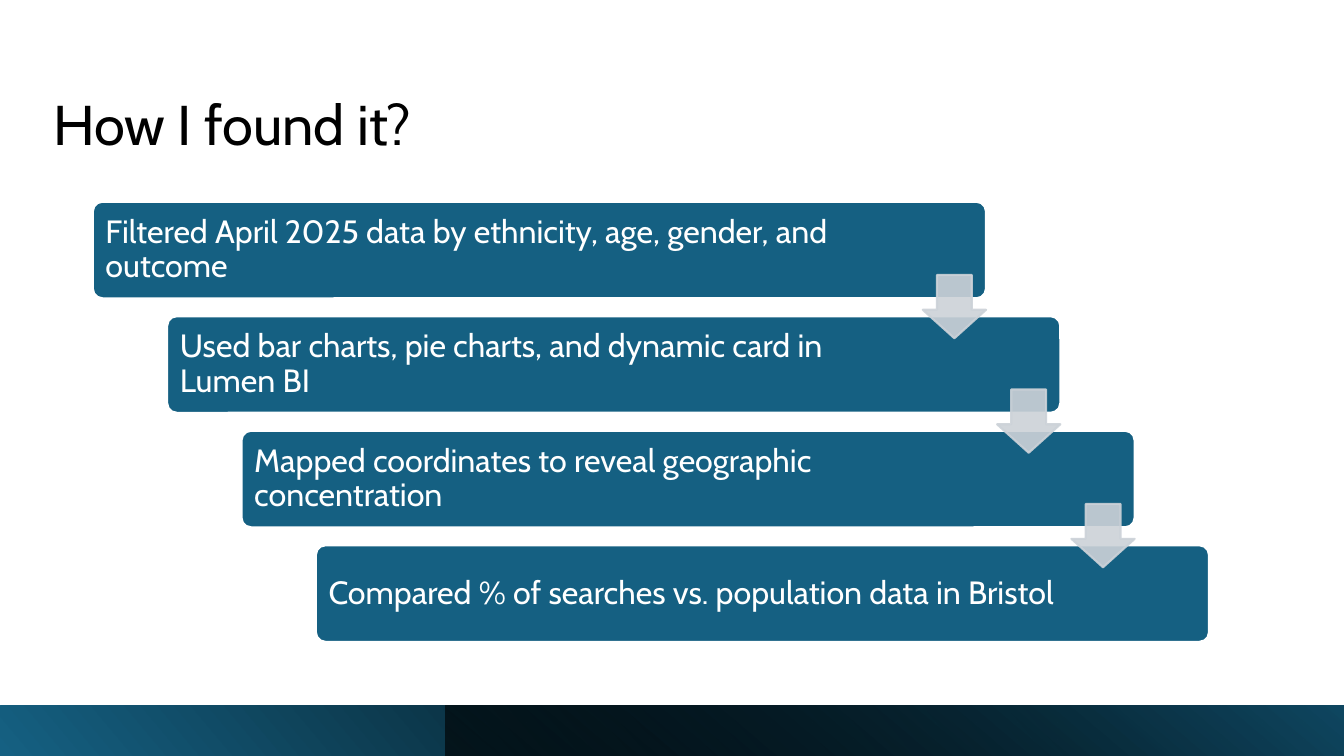
import pptx
import pptx.util
import pptx.dml.color
import pptx.enum.shapes
import pptx.enum.text
import pptx.oxml
import pptx.oxml.ns

Pt = pptx.util.Pt
SHAPES = pptx.enum.shapes.MSO_SHAPE
ANCHOR = pptx.enum.text.MSO_ANCHOR

COLOURS = {
    "title": "000000",
    "white": "FFFFFF",
    "step": "156082",
    "arrow": "CCD2D8",
    "black": "000000",
    "deep": "104862",
}
FONT = "Cabin"
# Wording and text width of each step
STEPS = [
    ("Filtered April 2025 data by ethnicity, age, gender, and outcome", 557),
    ("Used bar charts, pie charts, and dynamic card in Lumen BI", 535),
    ("Mapped coordinates to reveal geographic concentration", 535),
    ("Compared % of searches vs. population data in Bristol", 535),
]
STEP_LEFT, STEP_TOP = 66.3, 144.1
STEP_WIDTH, STEP_HEIGHT = 638, 69
SHIFT_RIGHT, SHIFT_DOWN = 53.1, 81.8
ARROW_SIZE = 45.2


def rgb(name):
    return pptx.dml.color.RGBColor.from_string(COLOURS[name])


def add_text(page, words, left, top, width, height, *, size, colour,
             anchor=ANCHOR.MIDDLE, inset=(7.2, 7.2)):
    """Add wrapped text; inset is (horizontal, vertical)."""
    box = page.shapes.add_textbox(Pt(left), Pt(top), Pt(width), Pt(height))
    frame = box.text_frame
    frame.word_wrap = True
    frame.vertical_anchor = anchor
    frame.margin_left = frame.margin_right = Pt(inset[0])
    frame.margin_top = frame.margin_bottom = Pt(inset[1])
    para = frame.paragraphs[0]
    para.line_spacing = 0.9
    span = para.add_run()
    span.text = words
    span.font.size = Pt(size)
    span.font.name = FONT
    span.font.color.rgb = rgb(colour)


def add_preset(page, kind, left, top, width, height, adjustments=()):
    shape = page.shapes.add_shape(kind, Pt(left), Pt(top), Pt(width), Pt(height))
    shape.shadow.inherit = False
    for index, value in enumerate(adjustments):
        shape.adjustments[index] = value
    return shape


def paint(shape, fill, line, opacity=100):
    shape.fill.solid()
    shape.fill.fore_color.rgb = rgb(fill)
    shape.line.color.rgb = rgb(line)
    shape.line.width = Pt(1.5)
    if opacity < 100:
        for colour in shape._element.spPr.iter(pptx.oxml.ns.qn("a:srgbClr")):
            alpha = colour.makeelement(pptx.oxml.ns.qn("a:alpha"),
                                       {"val": str(opacity * 1000)})
            colour.append(alpha)


def add_gradient_band(page, left, width, stops, angle, rotation=0):
    """Add a mirrored footer band; stops are (position, colour, opacity)."""
    band = add_preset(page, SHAPES.RECTANGLE, left, 504, width, 36)
    band.line.fill.background()
    band.rotation = rotation
    properties = band._element.spPr
    properties.xfrm.set("flipH", "1")
    stop_xml = "".join(
        f'<a:gs pos="{position * 1000}"><a:srgbClr val="{COLOURS[colour]}">'
        f'<a:alpha val="{opacity * 1000}"/></a:srgbClr></a:gs>'
        for position, colour, opacity in stops)
    gradient = pptx.oxml.parse_xml(
        f'<a:gradFill {pptx.oxml.ns.nsdecls("a")} rotWithShape="1">'
        f'<a:gsLst>{stop_xml}</a:gsLst>'
        f'<a:lin ang="{angle * 60000}" scaled="0"/></a:gradFill>')
    properties.find(pptx.oxml.ns.qn("a:prstGeom")).addnext(gradient)


def add_step(page, index, words, text_width):
    left = STEP_LEFT + index * SHIFT_RIGHT
    top = STEP_TOP + index * SHIFT_DOWN
    panel = add_preset(page, SHAPES.ROUNDED_RECTANGLE, left, top,
                       STEP_WIDTH, STEP_HEIGHT, [0.1])
    paint(panel, "step", "white")
    add_text(page, words, left + 2, top + 2, text_width, STEP_HEIGHT - 4,
             size=23, colour="white")


def add_step_arrow(page, index):
    arrow = add_preset(page, SHAPES.DOWN_ARROW,
                       STEP_LEFT + index * SHIFT_RIGHT + STEP_WIDTH - ARROW_SIZE,
                       STEP_TOP + index * SHIFT_DOWN + 52.3,
                       ARROW_SIZE, ARROW_SIZE, [0.45, 0.55])
    # The first adjustment is the shaft width, the second the head length
    arrow.adjustments[0], arrow.adjustments[1] = 0.55, 0.45
    paint(arrow, "arrow", "arrow", opacity=90)


def main():
    deck = pptx.Presentation()
    deck.slide_width, deck.slide_height = Pt(960), Pt(540)
    page = deck.slides.add_slide(deck.slide_layouts[6])
    add_text(page, "How I found it?", 31, 6.5, 919, 109.4, size=40,
             colour="title", anchor=ANCHOR.BOTTOM, inset=(7.2, 3.6))
    add_gradient_band(page, 0, 960, [(0, "step", 100), (78, "black", 100)],
                      angle=40, rotation=180)
    add_gradient_band(page, 318, 642, [(0, "black", 63), (100, "deep", 100)],
                      angle=230)
    for index, (words, text_width) in enumerate(STEPS):
        add_step(page, index, words, text_width)
    for index in range(len(STEPS) - 1):
        add_step_arrow(page, index)
    deck.save("out.pptx")


if __name__ == "__main__":
    main()
